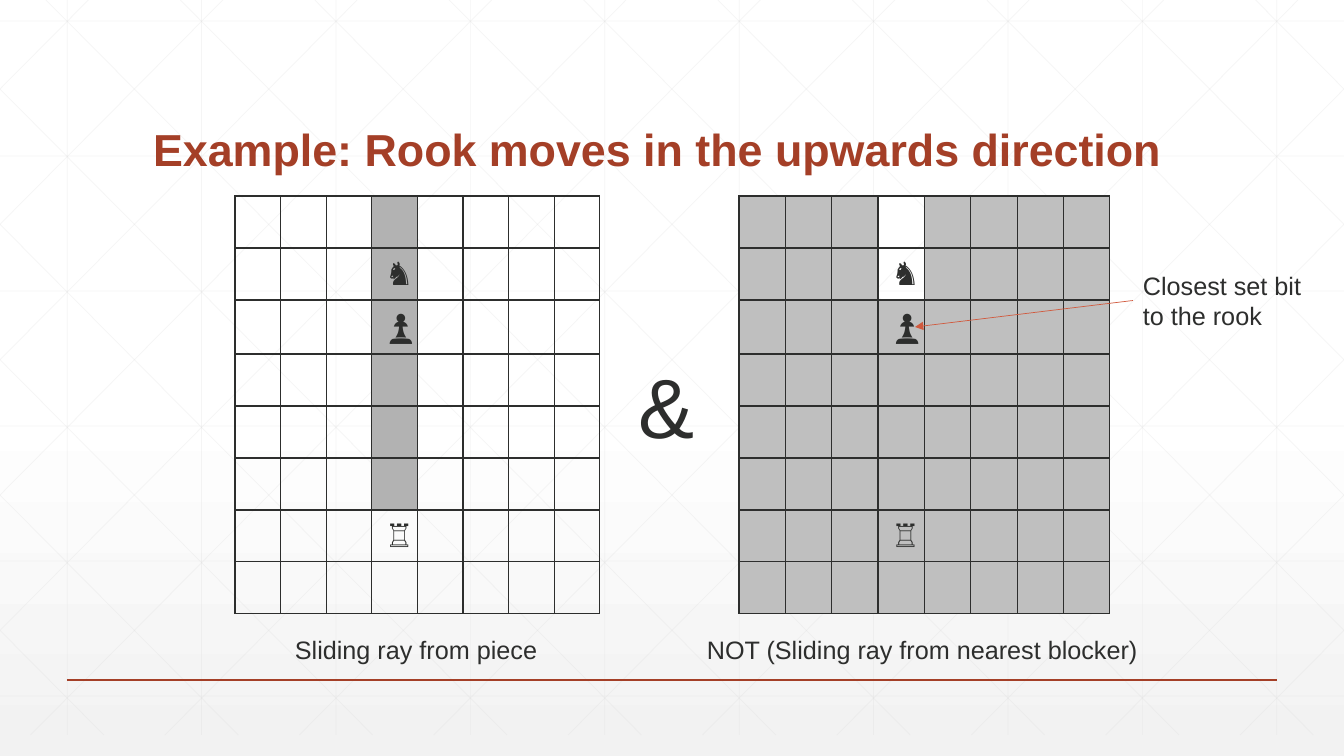
from pptx import Presentation
from pptx.dml.color import RGBColor
from pptx.enum.shapes import MSO_CONNECTOR as Link
from pptx.enum.text import MSO_ANCHOR as Anchor, MSO_AUTO_SIZE as Auto, PP_ALIGN as Align
from pptx.oxml import parse_xml
from pptx.oxml.ns import nsdecls, qn
from pptx.util import Emu, Pt

WIDE, HIGH, FOOT = 1344, 756, 735
INK, RUST, RED, MESH = "2D2E2D", "A43F27", "D15A3E", "D9D9D9"
RAY, MASK = "B2B2B2", "BFBFBF"
SLOPE = 0.993
KNIGHT, PAWN, ROOK = (1, 3), (2, 3), (6, 3)
MEN = {KNIGHT: "♞", PAWN: "♟", ROOK: "♖"}


def px(size):
    return Emu(round(size * 914400 / 100.8))


def hue(code):
    return RGBColor.from_string(code)


class Page:
    """Draws styled elements on one slide."""

    def __init__(self, deck):
        self.font = "Arial"
        self.slide = deck.slides.add_slide(deck.slide_layouts[5])
        self.shapes = self.slide.shapes

    def back(self, top, low):
        fill = self.slide.background.fill
        fill.gradient()
        fill.gradient_angle = 270
        for stop, code, place in zip(fill.gradient_stops, (top, low), (0.53, 1)):
            stop.color.rgb = hue(code)
            stop.position = place

    def style(self, frame, size, code=INK, bold=False):
        for para in frame.paragraphs:
            for run in para.runs:
                font = run.font
                font.name, font.size, font.bold = self.font, Pt(size), bold
                font.color.rgb = hue(code)

    def title(self, text, x, y, w, h):
        box = self.shapes.title
        self.shapes._spTree.append(box._element)
        box.left, box.top, box.width, box.height = map(px, (x, y, w, h))
        frame = box.text_frame
        frame.text = text
        frame.auto_size = Auto.NONE
        frame.vertical_anchor = Anchor.BOTTOM
        para = frame.paragraphs[0]
        para.alignment, para.line_spacing = Align.LEFT, 0.9
        self.style(frame, 32, RUST, True)

    def text(self, text, x, y, w, h, size=18, wrap=True):
        box = self.shapes.add_textbox(*map(px, (x, y, w, h)))
        frame = box.text_frame
        frame.text = text
        frame.word_wrap = wrap
        frame.auto_size = Auto.SHAPE_TO_FIT_TEXT
        self.style(frame, size)
        return box

    def line(self, x1, y1, x2, y2, code, width=1.0, alpha=None, head=False):
        line = self.shapes.add_connector(Link.STRAIGHT, *map(px, (x1, y1, x2, y2)))
        line.line.color.rgb = hue(code)
        line.line.width = Pt(width)
        props = line._element.spPr
        props.append(parse_xml(f"<a:effectLst {nsdecls('a')}/>"))
        if alpha:
            tint = parse_xml(f"<a:alpha {nsdecls('a')} val='{alpha * 1000}'/>")
            next(props.iter(qn("a:srgbClr"))).append(tint)
        if head:
            tip = parse_xml(f"<a:tailEnd {nsdecls('a')} type='triangle'/>")
            props.find(qn("a:ln")).append(tip)
        return line

    def mesh(self):
        def draw(*ends):
            self.line(*ends, MESH, 0.5, 25)

        step = WIDE / 10
        for i in range(10):
            x = step * (i + 0.5)
            draw(x, 0, x, FOOT)
        for i in range(6):
            y = 21 + 135 * i
            draw(0, y, WIDE, y)
        for i in range(-5, 10):
            start = 46 + step * i
            y1 = max(0, -start / SLOPE)
            y2 = min(FOOT, (WIDE - start) / SLOPE)
            x1, x2 = start + SLOPE * y1, start + SLOPE * y2
            draw(x1, y1, x2, y2)
            draw(WIDE - x1, y1, WIDE - x2, y2)

    def edge(self, cell):
        props = cell._tc.get_or_add_tcPr()
        for i, side in enumerate("LRTB"):
            props.insert(i, parse_xml(
                f"<a:ln{side} {nsdecls('a')} w='12700'><a:solidFill>"
                f"<a:srgbClr val='{INK}'/></a:solidFill></a:ln{side}>"))

    def board(self, x, y, w, h, dark, code):
        grid = self.shapes.add_table(8, 8, *map(px, (x, y, w, h))).table
        grid.first_row = grid.horz_banding = False
        for col in grid.columns:
            col.width = px(w / 8)
        for i, row in enumerate(grid.rows):
            row.height = px(54 if i == PAWN[0] else 52)
            for j, cell in enumerate(row.cells):
                cell.margin_left = cell.margin_right = px(13)
                cell.margin_top = cell.margin_bottom = px(6)
                cell.vertical_anchor = Anchor.MIDDLE
                if (i, j) in dark:
                    cell.fill.solid()
                    cell.fill.fore_color.rgb = hue(code)
                else:
                    cell.fill.background()
                self.edge(cell)
                if (i, j) in MEN:
                    cell.text_frame.text = MEN[i, j]
                    self.style(cell.text_frame, 23)


def main():
    deck = Presentation()
    deck.slide_width, deck.slide_height = px(WIDE), px(HIGH)
    page = Page(deck)
    page.back("FFFFFF", "F2F2F2")
    page.mesh()
    page.line(67, 680, 1277, 680, RUST)
    page.title("Example: Rook moves in the upwards direction", 143, 55, 1058, 126)

    ray = {(i, 3) for i in range(ROOK[0])}
    past = {(i, 3) for i in range(PAWN[0])}
    cells = {(i, j) for i in range(8) for j in range(8)}
    page.board(235, 196, 365, 418, ray, RAY)
    page.board(739, 196, 371, 418, cells - past, MASK)

    page.text("&", 629, 350, 85, 112, 60)
    page.text("Sliding ray from piece", 285, 629, 265, 40, wrap=False)
    page.text("NOT (Sliding ray from nearest blocker)", 697, 629, 455, 40, wrap=False)
    arrow = page.line(1135, 300, 915, 327, RED, 0.5, head=True)
    note = page.text("Closest set bit\nto the rook", 1133, 265, 202, 71)
    arrow.begin_connect(note, 1)
    deck.save("out.pptx")


if __name__ == "__main__":
    main()
